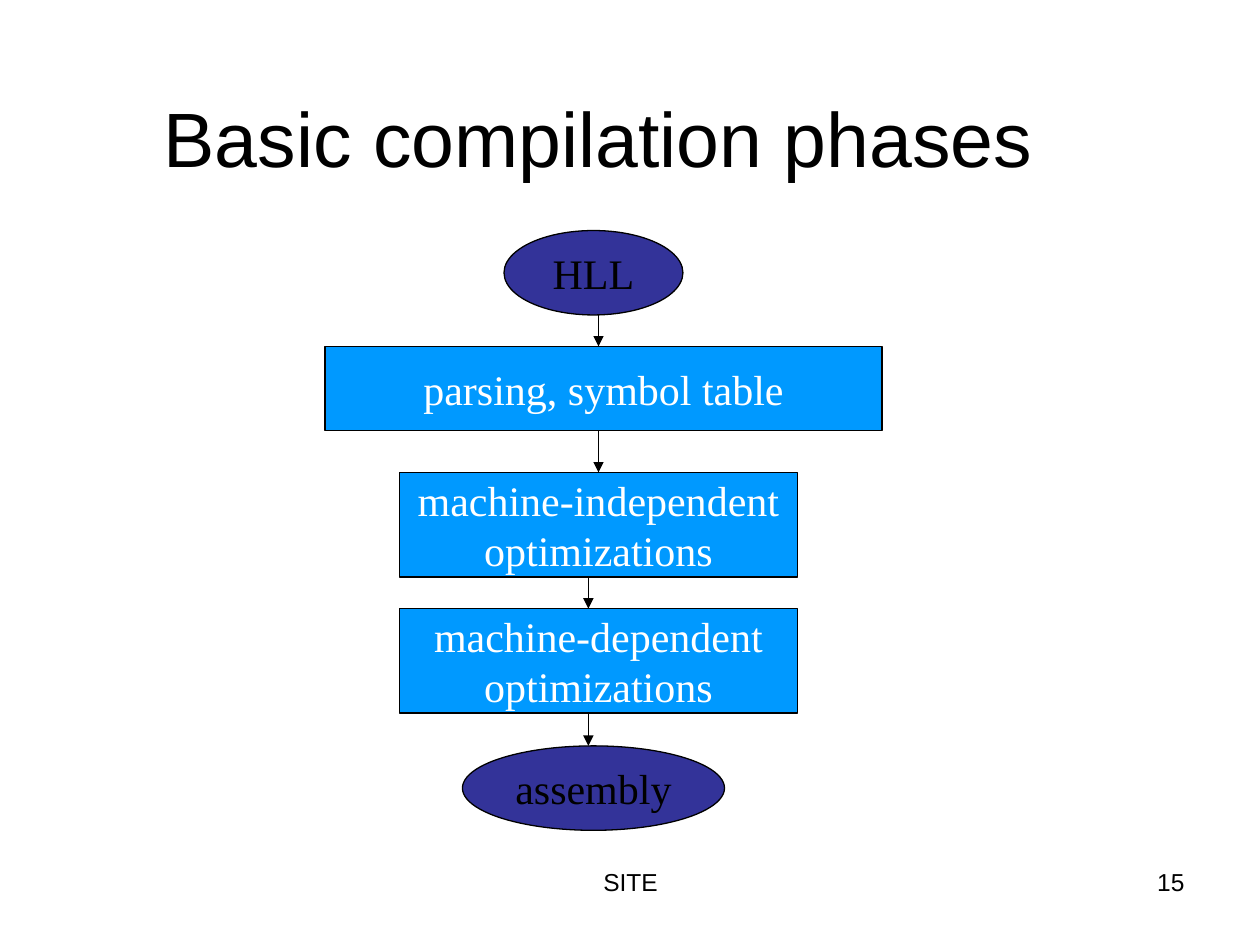
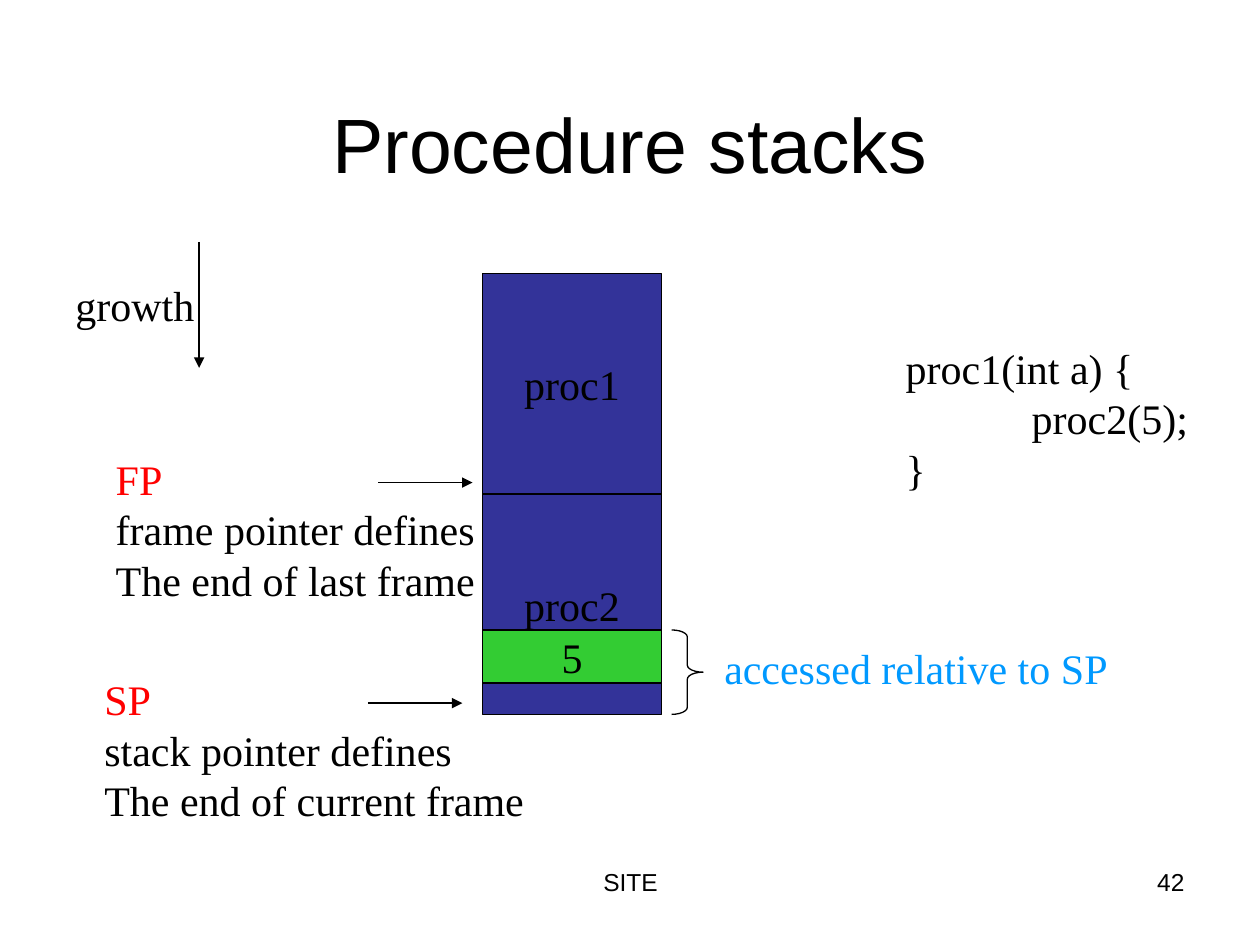
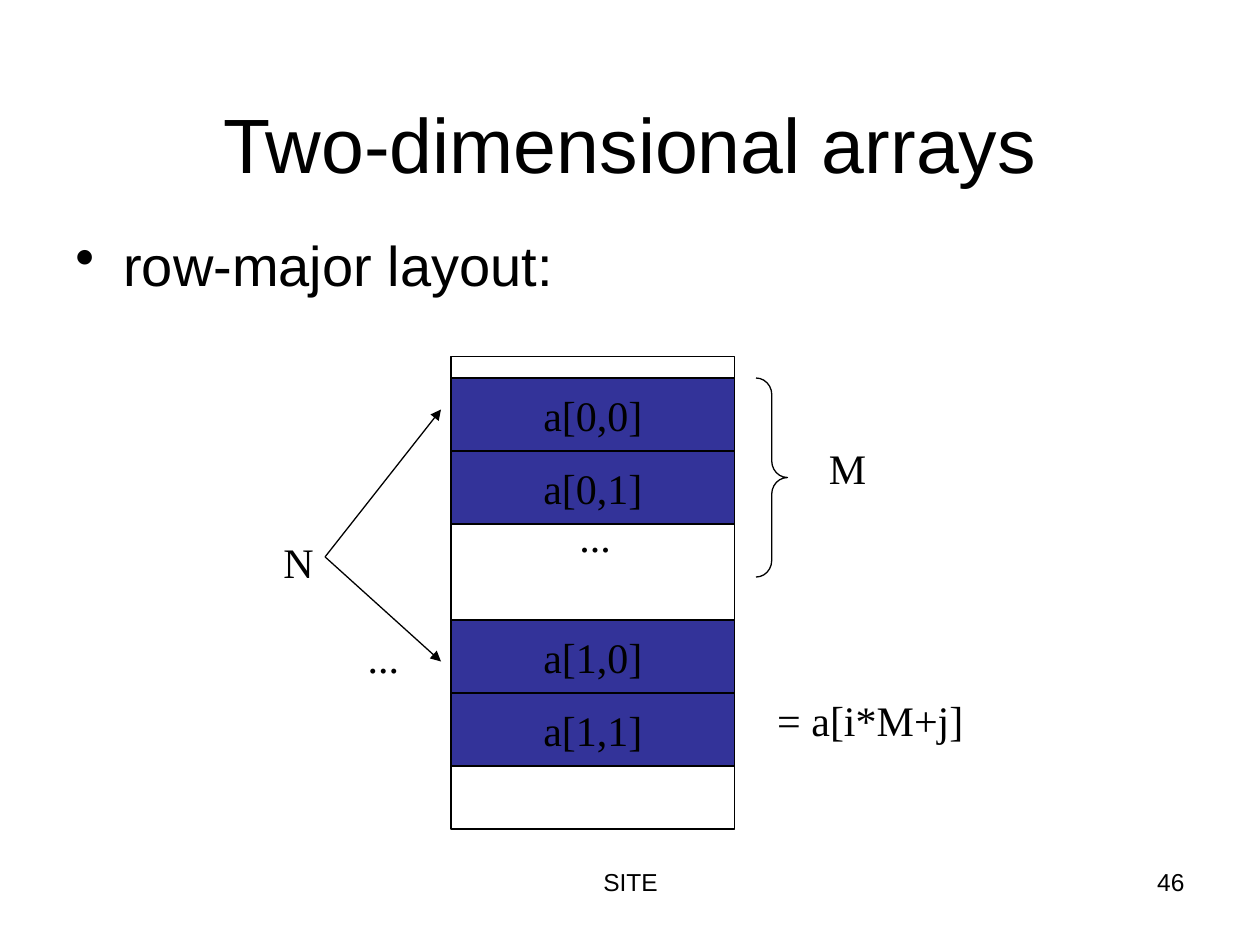
from lxml.etree import SubElement
from pptx import Presentation
from pptx.dml.color import RGBColor
from pptx.enum.shapes import MSO_CONNECTOR, MSO_SHAPE
from pptx.enum.text import MSO_ANCHOR, MSO_AUTO_SIZE, PP_ALIGN
from pptx.oxml.ns import qn
from pptx.util import Inches, Pt

BLACK, WHITE, RED = "000000", "FFFFFF", "FF0000"
INDIGO, SKY, GREEN = "333399", "0099FF", "33CC33"
SANS, SERIF = "Arial", "Times New Roman"
RECT, OVAL = MSO_SHAPE.RECTANGLE, MSO_SHAPE.OVAL

FOOTER = "SITE"
PHASES = [
    (OVAL, (4, 1.83, 1.42, 0.67), ["HLL"]),
    (RECT, (2.58, 2.75, 4.42, 0.67), ["parsing, symbol table"]),
    (RECT, (3.17, 3.75, 3.16, 0.83), ["machine-independent", "optimizations"]),
    (RECT, (3.17, 4.83, 3.16, 0.83), ["machine-dependent", "optimizations"]),
    (OVAL, (3.67, 5.92, 2.08, 0.67), ["assembly"]),
]
PHASE_ARROW_X = [4.75, 4.75, 4.67, 4.67]

STACK_LEFT, STACK_WIDTH = 3.83, 1.42
FRAMES = [
    (2.17, 1.75, "proc1", INDIGO),
    (3.92, 1.75, "proc2", INDIGO),
    (5, 0.42, "5", GREEN),
]
STACK_ARROWS = [
    ((1.58, 1.92), (1.58, 2.92)),
    ((3, 3.83), (3.75, 3.83)),
    ((2.92, 5.58), (3.67, 5.58)),
]
STACK_NOTES = [
    ((0.5, 2.17, 1.14, 0.5), ["growth"]),
    ((7.09, 2.67, 2.44, 1.3), ["proc1(int a) {", "\tproc2(5);", "}"]),
    ((0.82, 3.55, 3.05, 1.3),
     [("FP", RED), "frame pointer defines", "The end of last frame"]),
    ((0.73, 5.3, 3.53, 1.3),
     [("SP", RED), "stack pointer defines", "The end of current frame"]),
    ((5.65, 5.05, 3.24, 0.5), [("accessed relative to SP", SKY)]),
]

ARRAY_LEFT, ARRAY_WIDTH, CELL_HEIGHT = 3.58, 2.25, 0.58
ARRAY_ROWS = [(3, ["a[0,0]", "a[0,1]"]), (4.92, ["a[1,0]", "a[1,1]"])]
ROWS_ORIGIN = (2.58, 4.42)
ROW_ENDS = [(3.5, 3.25), (3.5, 5.25)]
ARRAY_NOTES = [
    ((6.07, 5.46, 1.68, 0.5), ["= a[i*M+j]"]),
    ((4.5, 4, 0.45, 0.5), ["..."]),
    ((6.48, 3.46, 0.49, 0.5), ["M"]),
    ((2.82, 4.96, 0.45, 0.5), ["..."]),
    ((2.15, 4.21, 0.44, 0.5), ["N"]),
]


def rgb(color):
    return RGBColor.from_string(color)


def inches(lengths):
    return [Inches(length) for length in lengths]


def write(frame, lines, size=24, font=SERIF, color=BLACK, align=PP_ALIGN.LEFT,
          anchor=MSO_ANCHOR.TOP, wrap=False, bullet=False):
    """Fill a text frame; a line is a string or a (string, colour) pair."""
    frame.auto_size = MSO_AUTO_SIZE.NONE
    frame.word_wrap = wrap
    frame.vertical_anchor = anchor
    for index, line in enumerate(lines):
        words, line_color = (line, color) if isinstance(line, str) else line
        paragraph = frame.paragraphs[0] if index == 0 else frame.add_paragraph()
        paragraph.alignment = align
        properties = paragraph._p.get_or_add_pPr()
        if bullet:
            properties.set("marL", str(Inches(0.38)))
            properties.set("indent", str(-Inches(0.38)))
            SubElement(properties, qn("a:buChar"), char="•")
        if words.startswith("\t"):
            stops = SubElement(properties, qn("a:tabLst"))
            SubElement(stops, qn("a:tab"), pos=str(Inches(1)), algn="l")
        run = paragraph.add_run()
        run.text = words
        run.font.size = Pt(size)
        run.font.name = font
        run.font.color.rgb = rgb(line_color)


def add_text(slide, place, lines, **style):
    write(slide.shapes.add_textbox(*inches(place)).text_frame, lines, **style)


def add_block(slide, kind, place, lines=(), fill=None, color=BLACK):
    block = slide.shapes.add_shape(kind, *inches(place))
    block.shadow.inherit = False
    if fill:
        block.fill.solid()
        block.fill.fore_color.rgb = rgb(fill)
    else:
        block.fill.background()
    block.line.color.rgb = rgb(BLACK)
    block.line.width = Pt(0.75)
    write(block.text_frame, lines, color=color, align=PP_ALIGN.CENTER,
          anchor=MSO_ANCHOR.MIDDLE)
    return block


def add_brace(slide, place):
    brace = add_block(slide, MSO_SHAPE.RIGHT_BRACE, place)
    width, height = place[2:]
    brace.adjustments[0] = height / 12 / width


def add_arrow(slide, start, end):
    arrow = slide.shapes.add_connector(MSO_CONNECTOR.STRAIGHT,
                                       *inches(start + end))
    arrow.line.color.rgb = rgb(BLACK)
    arrow.line.width = Pt(0.75)
    SubElement(arrow.line._get_or_add_ln(), qn("a:tailEnd"), type="triangle")
    SubElement(arrow._element.spPr, qn("a:effectLst"))
    return arrow


def add_slide(deck, title, number, title_place=(0.5, 0.3, 9, 1.25)):
    slide = deck.slides.add_slide(deck.slide_layouts[5])
    heading = slide.shapes.title
    heading.left, heading.top, heading.width, heading.height = inches(title_place)
    write(heading.text_frame, [title], size=44, font=SANS, wrap=True,
          align=PP_ALIGN.CENTER, anchor=MSO_ANCHOR.BOTTOM)
    for place, words, align in [
        ((3.42, 6.83, 3.17, 0.52), FOOTER, PP_ALIGN.CENTER),
        ((7.17, 6.83, 2.33, 0.52), str(number), PP_ALIGN.RIGHT),
    ]:
        add_text(slide, place, [words], size=14, font=SANS, align=align, wrap=True)
    return slide


def build_phases(deck):
    slide = add_slide(deck, "Basic compilation phases", 15, (0.5, 0.25, 8.5, 1.25))
    blocks = []
    for kind, place, lines in PHASES:
        fill, color = (INDIGO, BLACK) if kind == OVAL else (SKY, WHITE)
        blocks.append(add_block(slide, kind, place, lines, fill, color))
    places = [place for _, place, _ in PHASES]
    for x, upper, lower, block in zip(PHASE_ARROW_X, places, places[1:], blocks[1:]):
        arrow = add_arrow(slide, (x, upper[1] + upper[3]), (x, lower[1]))
        if abs(lower[0] + lower[2] / 2 - x) < 0.01:
            arrow.end_connect(block, 0)


def build_stack(deck):
    slide = add_slide(deck, "Procedure stacks", 42)
    for top, height, name, fill in FRAMES:
        add_block(slide, RECT, (STACK_LEFT, top, STACK_WIDTH, height), [name], fill)
    add_brace(slide, (5.33, 5, 0.25, 0.67))
    for start, end in STACK_ARROWS:
        add_arrow(slide, start, end)
    for place, lines in STACK_NOTES:
        add_text(slide, place, lines)


def build_array(deck):
    slide = add_slide(deck, "Two-dimensional arrays", 46)
    add_text(slide, (0.5, 1.78, 9, 0.9), ["row-major layout:"], size=32,
             font=SANS, wrap=True, bullet=True)
    add_block(slide, RECT, (ARRAY_LEFT, 2.83, ARRAY_WIDTH, 3.75))
    for top, cells in ARRAY_ROWS:
        for index, cell in enumerate(cells):
            place = (ARRAY_LEFT, top + index * CELL_HEIGHT, ARRAY_WIDTH, CELL_HEIGHT)
            add_block(slide, RECT, place, [cell], INDIGO)
    add_brace(slide, (6, 3, 0.25, 1.58))
    for end in ROW_ENDS:
        add_arrow(slide, ROWS_ORIGIN, end)
    for place, lines in ARRAY_NOTES:
        add_text(slide, place, lines)


def main():
    deck = Presentation()
    deck.slide_width, deck.slide_height = Inches(10), Inches(7.5)
    build_phases(deck)
    build_stack(deck)
    build_array(deck)
    deck.save("out.pptx")


if __name__ == "__main__":
    main()
